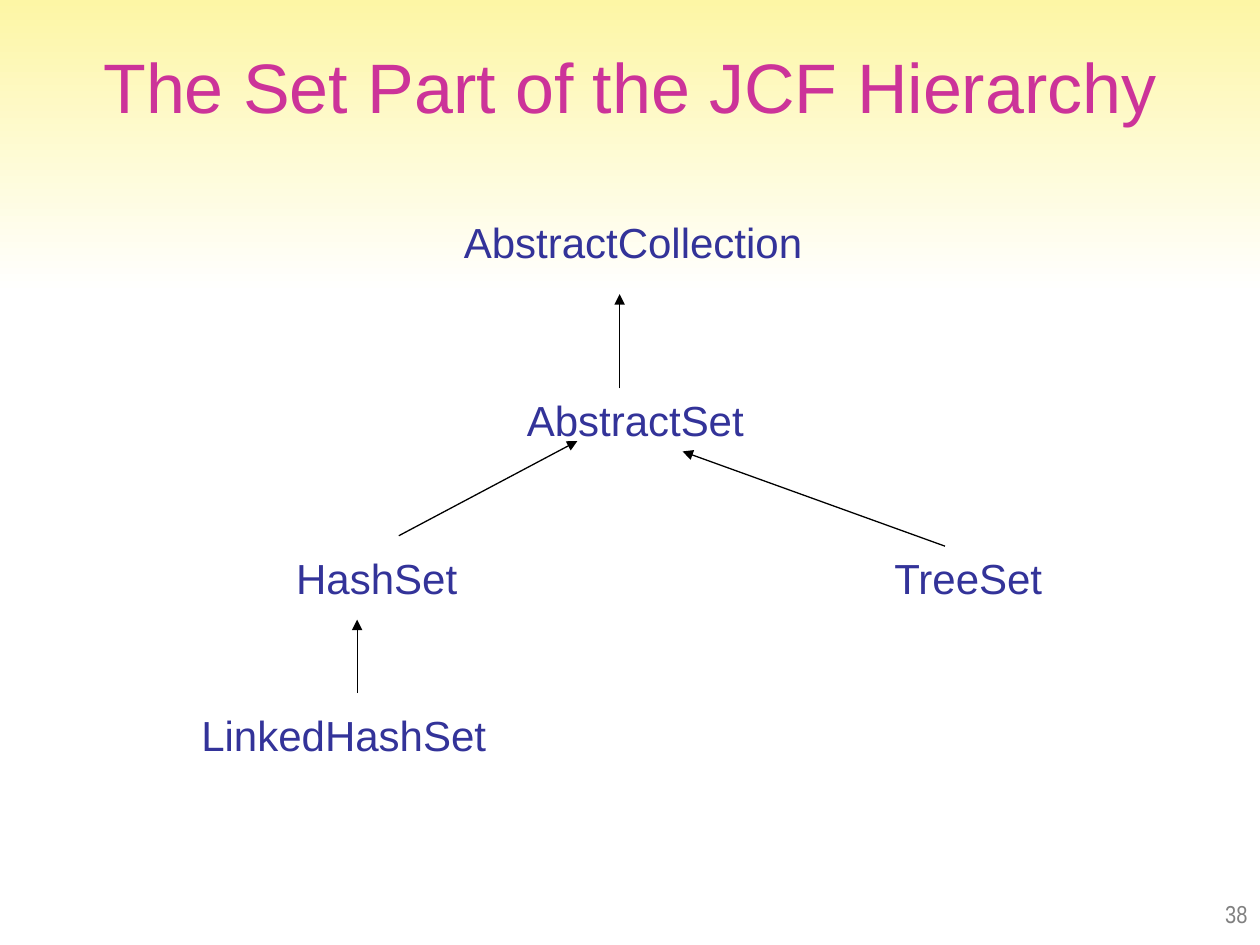
import pptx
import pptx.dml.color
import pptx.enum.shapes
import pptx.enum.text
import pptx.oxml
import pptx.oxml.ns
import pptx.util

Cm = pptx.util.Cm
ANCHOR = pptx.enum.text.MSO_ANCHOR
ALIGN = pptx.enum.text.PP_ALIGN
AUTO_SIZE = pptx.enum.text.MSO_AUTO_SIZE

# name, left, top, width, wraps
CLASSES = [
    ("AbstractCollection", 9.1, 4.23, 7.41, True),
    ("AbstractSet", 10.37, 7.83, 5.5, True),
    ("HashSet", 5.72, 11.01, 3.75, False),
    ("TreeSet", 17.78, 11.01, 3.5, False),
    ("LinkedHashSet", 3.81, 14.18, 6.56, True),
]

# subclass end, superclass end
ARROWS = [
    ((12.49, 7.83), (12.49, 5.93)),
    ((7.2, 13.97), (7.2, 12.49)),
    ((8.04, 10.8), (11.64, 8.89)),
    ((19.05, 11.01), (13.76, 9.1)),
]


def rgb(color):
    return pptx.dml.color.RGBColor.from_string(color)


def write(sp, text, size, color, font="Arial", align=ALIGN.LEFT,
          anchor=ANCHOR.TOP, wrap=True):
    tf = sp.text_frame
    tf.auto_size = AUTO_SIZE.NONE
    tf.word_wrap = wrap
    tf.vertical_anchor = anchor
    p = tf.paragraphs[0]
    p.alignment = align
    r = p.add_run()
    r.text = text
    r.font.size = pptx.util.Pt(size)
    r.font.name = font
    r.font.color.rgb = rgb(color)


def add_title(s, text):
    title = s.shapes.title
    title.left, title.top = Cm(1.27), Cm(0.76)
    title.width, title.height = Cm(22.86), Cm(2.41)
    write(title, text, 40, "CC3399", align=ALIGN.CENTER)


def add_band(s, width):
    """Add the fading band behind the title."""
    band = s.shapes.add_shape(
        pptx.enum.shapes.MSO_SHAPE.RECTANGLE, 0, 0, width, Cm(5.93))
    band.shadow.inherit = False
    band.line.fill.background()
    band.fill.gradient()
    band.fill.gradient_angle = 270
    for stop, color in zip(band.fill.gradient_stops, ("FDF6A5", "FFFFFF")):
        stop.color.rgb = rgb(color)
    s.shapes.title.element.addprevious(band.element)


def add_arrow(shapes, start, end):
    line = shapes.add_connector(
        pptx.enum.shapes.MSO_CONNECTOR.STRAIGHT,
        *(Cm(value) for value in start + end))
    line.line.color.rgb = rgb("000000")
    line.line.width = pptx.util.Pt(0.75)
    ns = pptx.oxml.ns.nsdecls("a")
    line.line._get_or_add_ln().append(
        pptx.oxml.parse_xml(f'<a:tailEnd {ns} type="triangle"/>'))
    line.element.spPr.append(pptx.oxml.parse_xml(f"<a:effectLst {ns}/>"))


def add_class(shapes, name, left, top, width, wrap):
    sp = shapes.add_textbox(Cm(left), Cm(top), Cm(width), Cm(1.27))
    write(sp, name, 24, "333399", wrap=wrap)


def add_slide_number(s, number):
    sp = s.shapes.add_textbox(Cm(20.12), Cm(17.58), Cm(5.28), Cm(1.27))
    write(sp, number, 14, "808080", font="Arial Narrow",
          align=ALIGN.RIGHT, anchor=ANCHOR.BOTTOM)


def main():
    prs = pptx.Presentation()
    prs.slide_width, prs.slide_height = Cm(25.4), Cm(19.05)
    s = prs.slides.add_slide(prs.slide_layouts[5])
    add_title(s, "The Set Part of the JCF Hierarchy")
    add_band(s, prs.slide_width)
    add_slide_number(s, "38")
    hierarchy = s.shapes.add_group_shape()
    for start, end in ARROWS:
        add_arrow(hierarchy.shapes, start, end)
    for entry in CLASSES:
        add_class(hierarchy.shapes, *entry)
    prs.save("out.pptx")


if __name__ == "__main__":
    main()
